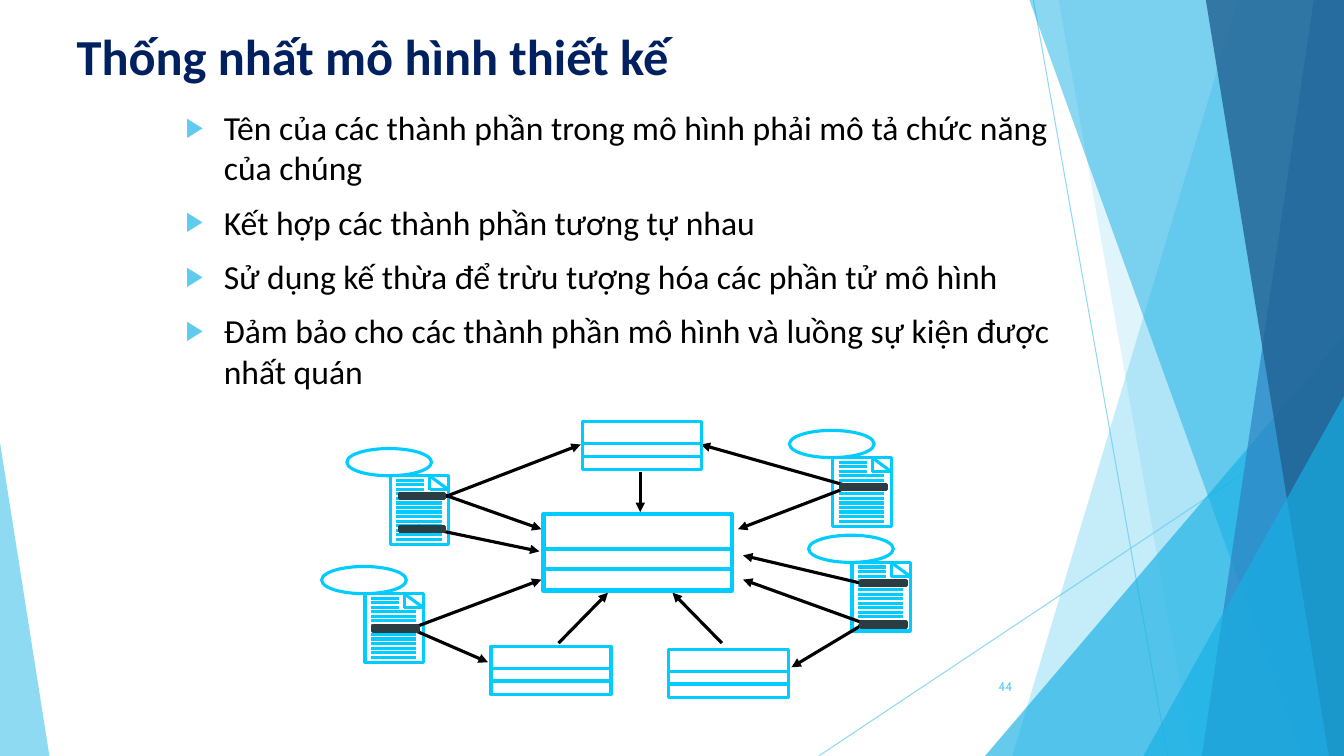
from lxml.etree import SubElement as Sub
from pptx import Presentation
from pptx.dml.color import RGBColor
from pptx.enum.shapes import MSO_CONNECTOR as Link, MSO_SHAPE as Shape
from pptx.enum.text import MSO_ANCHOR as Anchor, MSO_AUTO_SIZE as Fit, PP_ALIGN as Align
from pptx.oxml.ns import qn
from pptx.util import Inches, Pt


def paint(fill, tint):
    fill.solid()
    fill.fore_color.rgb = RGBColor.from_string(tint)


class Board:
    """The slide being drawn, with its style."""
    font = "Calibri"
    navy, black, dark = "002060", "000000", "2C3C43"
    sky, cyan = "5FCBEF", "00CCFF"

    def __init__(self, slide):
        self.slide = slide
        self.shapes = slide.shapes

    def fade(self, shape, alpha):
        tint = shape.element.spPr.find(".//" + qn("a:srgbClr"))
        Sub(tint, qn("a:alpha"), val=str(alpha * 1000))

    def style(self, shape, fill=None, line=None, width=2.25):
        shape.shadow.inherit = False
        if fill:
            paint(shape.fill, fill)
        else:
            shape.fill.background()
        if line:
            paint(shape.line.fill, line)
            shape.line.width = Pt(width)
        else:
            shape.line.fill.background()
        return shape

    def shape(self, kind, at, **look):
        return self.style(self.shapes.add_shape(kind, *map(Inches, at)), **look)

    def wedge(self, at, apex, tint, alpha):
        shape = self.shape(Shape.ISOSCELES_TRIANGLE, at, fill=tint)
        shape.adjustments[0] = apex
        self.fade(shape, alpha)

    def band(self, top, foot, tint, alpha):
        """A strip from a slanted left edge to the right side of the slide."""
        right, low = Inches(13.33), Inches(7.5)
        pen = self.shapes.build_freeform(Inches(top), 0)
        pen.add_line_segments([(right, 0), (right, low), (Inches(foot), low)])
        self.fade(self.style(pen.convert_to_shape(), fill=tint), alpha)

    def line(self, start, end, tint, width=2.25, head=False):
        ends = map(Inches, (*start, *end))
        line = self.shapes.add_connector(Link.STRAIGHT, *ends)
        paint(line.line.fill, tint)
        line.line.width = Pt(width)
        if head:
            Sub(line.line._get_or_add_ln(), qn("a:tailEnd"), type="triangle")
        Sub(line.element.spPr, qn("a:effectLst"))
        return line

    def run(self, para, text, size, tint, bold=False, font=None):
        run = para.add_run()
        run.text = text
        run.font.size, run.font.bold = Pt(size), bold
        run.font.name = font or self.font
        paint(run.font.fill, tint)

    def place(self, holder, at):
        """Move a placeholder to its spot, in front of what is drawn so far."""
        holder.left, holder.top, holder.width, holder.height = map(Inches, at)
        tree = holder.element.getparent()
        tree.append(holder.element)
        frame = holder.text_frame
        frame.auto_size, frame.word_wrap = Fit.NONE, True
        frame.vertical_anchor = Anchor.TOP
        return frame

    def title(self, text, at):
        para = self.place(self.shapes.title, at).paragraphs[0]
        para.alignment = Align.LEFT
        self.run(para, text, 36, self.navy, bold=True)

    def list(self, items, at):
        frame = self.place(self.slide.placeholders[1], at)
        for i, item in enumerate(items):
            para = frame.add_paragraph() if i else frame.paragraphs[0]
            para.space_before = Pt(10 if i else 0)
            props = para._p.get_or_add_pPr()
            props.set("marL", str(Inches(0.38)))
            props.set("indent", str(Inches(-0.38)))
            Sub(Sub(props, qn("a:buClr")), qn("a:srgbClr"), val=self.sky)
            Sub(props, qn("a:buSzPct"), val="80000")
            Sub(props, qn("a:buChar"), char="▶")
            self.run(para, item, 24, self.black)

    def label(self, text, at):
        frame = self.shapes.add_textbox(*map(Inches, at)).text_frame
        frame.word_wrap = True
        frame.vertical_anchor = Anchor.MIDDLE
        para = frame.paragraphs[0]
        para.alignment = Align.RIGHT
        self.run(para, text, 9, self.sky, font="Cabin")

    def case(self, x, y):
        """A use case oval with its page of text below."""
        self.shape(Shape.OVAL, (x, y, 0.84, 0.27), line=self.cyan)
        x, y = x + 0.43, y + 0.27
        self.shape(Shape.RECTANGLE, (x, y, 0.58, 0.68), line=self.cyan)
        top, side, inner = (x + 0.39, y), (x + 0.58, y + 0.14), (x + 0.39, y + 0.14)
        for start, end in ((top, side), (top, inner), (side, inner)):
            self.line(start, end, self.cyan)
        for row in range(1, 15):
            level = y + 0.045 * row
            size = 0.28 if row < 4 else 0.45
            self.line((x + 0.06, level), (x + 0.06 + size, level), self.cyan)

    def model(self, x, y, wide, high, width=2.25):
        """A class box with three parts."""
        self.shape(Shape.RECTANGLE, (x, y, wide, high), line=self.cyan, width=width)
        for part in (0.46, 0.72):
            level = y + high * part
            self.line((x, level), (x + wide, level), self.cyan, width)


def main():
    deck = Presentation()
    deck.slide_width, deck.slide_height = Inches(13.33), Inches(7.5)
    board = Board(deck.slides.add_slide(deck.slide_layouts[1]))

    # Backdrop
    for start, end in (((10.25, 0), (11.58, 7.5)), ((13.33, 4.03), (8.12, 7.5))):
        board.fade(board.line(start, end, board.sky, 0.75), 70)
    board.band(12.28, 10.04, board.sky, 36)
    board.band(10.5, 11.83, board.sky, 20)
    board.wedge((9.77, 3.33, 3.56, 4.17), 1, "17B0E4", 66)
    board.band(10.21, 12.91, "17B0E4", 50)
    board.band(13.03, 11.92, "2E83C3", 70)
    board.band(11.96, 13.18, "226292", 80)
    board.wedge((11.34, 3.93, 1.99, 3.57), 1, "17B0E4", 66)
    board.wedge((0, 4.39, 0.49, 3.11), 0, board.sky, 70)

    # Title and list
    board.title("Thống nhất mô hình thiết kế", (0.66, 0.2, 9.4, 0.88))
    board.list((
        "Tên của các thành phần trong mô hình phải mô tả chức năng của chúng",
        "Kết hợp các thành phần tương tự nhau",
        "Sử dụng kế thừa để trừu tượng hóa các phần tử mô hình",
        "Đảm bảo cho các thành phần mô hình và luồng sự kiện được nhất quán",
    ), (1.74, 1.01, 9.21, 3.21))

    # Use cases
    for spot in ((3.19, 5.62), (3.44, 4.45), (8.02, 5.31), (7.83, 4.27)):
        board.case(*spot)

    # Arrows
    for start, end in (
        ((4.12, 6.22), (5.37, 5.75)), ((4.15, 5.22), (5.35, 5.47)),
        ((8.6, 5.8), (7.37, 5.51)), ((8.56, 6.18), (7.37, 5.75)),
        ((4.38, 4.9), (5.37, 5.25)), ((8.34, 4.86), (7.32, 5.25)),
        ((4.08, 6.24), (4.84, 6.57)), ((7.16, 6.38), (6.67, 5.88)),
        ((8.6, 6.17), (7.85, 6.62)), ((4.41, 4.93), (5.76, 4.41)),
        ((8.37, 4.81), (6.95, 4.41)), ((6.35, 4.68), (6.35, 5.08)),
        ((5.54, 6.38), (6.03, 5.88)),
    ):
        board.line(start, end, board.black, head=True)

    # Marked lines on the pages
    for x, y in ((3.96, 4.9), (3.96, 5.22), (3.7, 6.21),
                 (8.54, 6.17), (8.54, 5.76), (8.34, 4.81)):
        board.shape(Shape.RECTANGLE, (x, y, 0.45, 0.05),
                    fill=board.dark, line=board.dark)

    # Page number
    board.label("44", (9.39, 6.61, 0.75, 0.4))

    # Class boxes
    board.model(5.78, 4.18, 1.18, 0.48)
    board.model(5.39, 5.1, 1.87, 0.76, 3)
    for x, y in ((6.63, 6.44), (4.87, 6.41)):
        board.model(x, y, 1.19, 0.48)

    deck.save("out.pptx")


if __name__ == "__main__":
    main()
